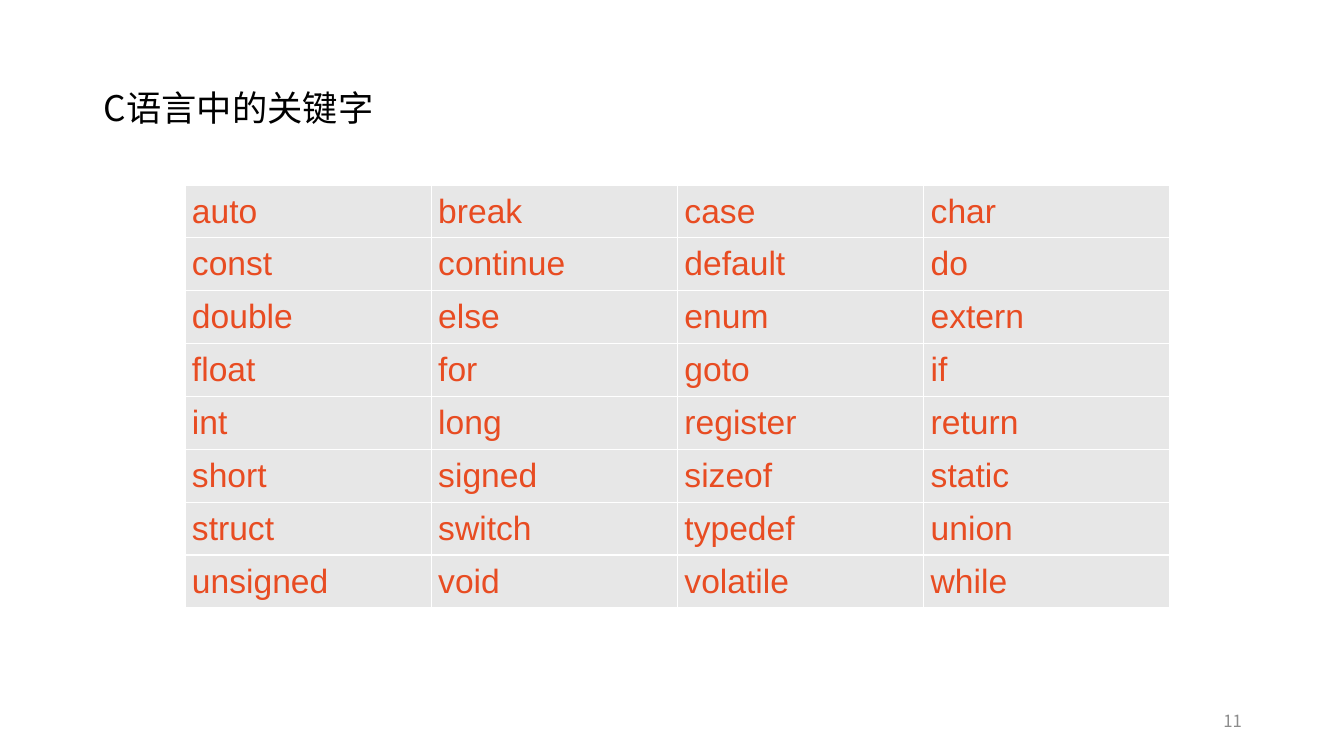
from lxml.etree import SubElement
from pptx import Presentation
from pptx.dml.color import RGBColor
from pptx.enum.text import MSO_ANCHOR, PP_ALIGN
from pptx.oxml.ns import qn
from pptx.util import Pt

# Content
TITLE = "C语言中的关键字"
PAGE_NUMBER = "11"
KEYWORDS = [
    ("auto", "break", "case", "char"),
    ("const", "continue", "default", "do"),
    ("double", "else", "enum", "extern"),
    ("float", "for", "goto", "if"),
    ("int", "long", "register", "return"),
    ("short", "signed", "sizeof", "static"),
    ("struct", "switch", "typedef", "union"),
    ("unsigned", "void", "volatile", "while"),
]

# Style
BLACK = RGBColor(0x00, 0x00, 0x00)
GRAY = RGBColor(0x8C, 0x8C, 0x8C)
ORANGE = RGBColor(0xE8, 0x4C, 0x22)
CELL_FILL = RGBColor(0xE7, 0xE7, 0xE7)
BORDER = RGBColor(0xFF, 0xFF, 0xFF)
CHINESE_FONT = "Noto Sans CJK SC"
KEYWORD_FONT = "Arial"

# Layout in px
SLIDE_WIDTH, SLIDE_HEIGHT = 1344, 756
TABLE_LEFT, TABLE_TOP = 185, 185
TABLE_WIDTH, TABLE_HEIGHT = 985, 423
CELL_MARGIN = 7


def px(length):
    return round(length * 914400 / 100.8)


def style(paragraph, font_name, size, color):
    font = paragraph.font
    font.name, font.size, font.color.rgb = font_name, Pt(size), color
    properties = paragraph._p.pPr.find(qn("a:defRPr"))
    SubElement(properties, qn("a:ea")).set("typeface", font_name)


def add_text(slide, text, box, size, color, align):
    shape = slide.shapes.add_textbox(*map(px, box))
    frame = shape.text_frame
    frame.word_wrap = True
    frame.vertical_anchor = MSO_ANCHOR.MIDDLE
    paragraph = frame.paragraphs[0]
    paragraph.text = text
    paragraph.alignment = align
    style(paragraph, CHINESE_FONT, size, color)
    return paragraph


def add_borders(cell):
    properties = cell._tc.get_or_add_tcPr()
    for index, side in enumerate(("a:lnL", "a:lnR", "a:lnT", "a:lnB")):
        line = properties.makeelement(qn(side), {"w": str(Pt(1))})
        fill = SubElement(line, qn("a:solidFill"))
        SubElement(fill, qn("a:srgbClr")).set("val", str(BORDER))
        properties.insert(index, line)


def fill_cell(cell, keyword):
    cell.fill.solid()
    cell.fill.fore_color.rgb = CELL_FILL
    cell.vertical_anchor = MSO_ANCHOR.MIDDLE
    cell.margin_left = cell.margin_right = px(CELL_MARGIN)
    cell.margin_top = cell.margin_bottom = 0
    paragraph = cell.text_frame.paragraphs[0]
    paragraph.text = keyword
    paragraph.alignment = PP_ALIGN.JUSTIFY
    style(paragraph, KEYWORD_FONT, 24, ORANGE)
    add_borders(cell)


def add_keyword_table(slide):
    row_count, column_count = len(KEYWORDS), len(KEYWORDS[0])
    box = (TABLE_LEFT, TABLE_TOP, TABLE_WIDTH, TABLE_HEIGHT)
    table = slide.shapes.add_table(row_count, column_count, *map(px, box)).table
    table.first_row = table.horz_banding = False
    for row, keywords in enumerate(KEYWORDS):
        for column, keyword in enumerate(keywords):
            fill_cell(table.cell(row, column), keyword)


def main():
    presentation = Presentation()
    presentation.slide_width = px(SLIDE_WIDTH)
    presentation.slide_height = px(SLIDE_HEIGHT)
    slide = presentation.slides.add_slide(presentation.slide_layouts[6])

    # Title
    title = add_text(slide, TITLE, (94, 54, 305, 98), 25.2, BLACK, PP_ALIGN.LEFT)
    title.line_spacing = 1.2

    # Keyword table
    add_keyword_table(slide)

    # Page number
    add_text(slide, PAGE_NUMBER, (950, 701, 302, 40), 12, GRAY, PP_ALIGN.RIGHT)

    presentation.save("out.pptx")


if __name__ == "__main__":
    main()
